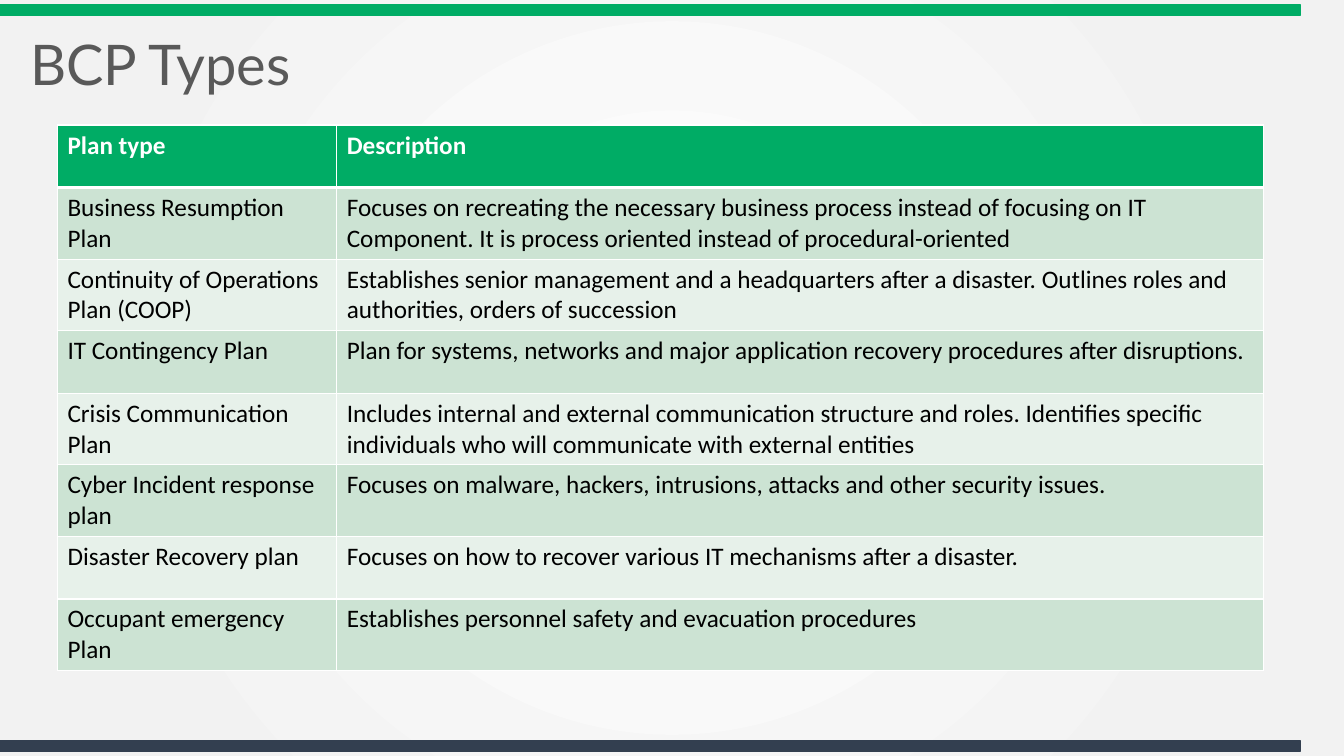
from dataclasses import dataclass

from pptx import Presentation
from pptx.dml.color import RGBColor
from pptx.enum.shapes import MSO_SHAPE
from pptx.enum.text import MSO_ANCHOR, PP_ALIGN
from pptx.oxml import parse_xml
from pptx.oxml.ns import nsdecls
from pptx.util import Inches, Pt


@dataclass(frozen=True)
class Theme:
    green: str = "00AC65"
    navy: str = "333F50"
    title: str = "595959"
    white: str = "FFFFFF"
    black: str = "000000"
    backdrop: str = "F2F2F2"
    bands: tuple = ("CCE3D3", "E7F1EA")
    title_font: str = "Lato"
    table_font: str = "Calibri"
    title_size: int = 40
    table_size: int = 18
    grid_width: int = 1
    header_rule: int = 3


THEME = Theme()

HEADINGS = ("Plan type", "Description")
PLANS = (
    ("Business Resumption Plan",
     "Focuses on recreating the necessary business process instead of focusing on IT "
     "Component. It is process oriented instead of procedural-oriented"),
    ("Continuity of Operations Plan (COOP)",
     "Establishes senior management and a headquarters after a disaster. Outlines roles "
     "and authorities, orders of succession"),
    ("IT Contingency Plan",
     "Plan for systems, networks and major application recovery procedures after disruptions."),
    ("Crisis Communication Plan",
     "Includes internal and external communication structure and roles. Identifies specific "
     "individuals who will communicate with external entities"),
    ("Cyber Incident response plan",
     "Focuses on malware, hackers, intrusions, attacks and other security issues."),
    ("Disaster Recovery plan",
     "Focuses on how to recover various IT mechanisms after a disaster."),
    ("Occupant emergency Plan",
     "Establishes personnel safety and evacuation procedures"),
)


def add_text(paragraph, text, font, size, color, bold=False):
    run = paragraph.add_run()
    run.text = text
    run.font.name = font
    run.font.size = Pt(size)
    run.font.bold = bold
    run.font.color.rgb = RGBColor.from_string(color)


def paint_background(slide):
    stops = ((0, THEME.white), (81, THEME.backdrop), (100, THEME.backdrop))
    stop_xml = "".join(
        f'<a:gs pos="{position * 1000}"><a:srgbClr val="{color}"/></a:gs>'
        for position, color in stops)
    background = parse_xml(
        f'<p:bg {nsdecls("p", "a")}><p:bgPr><a:gradFill rotWithShape="1">'
        f'<a:gsLst>{stop_xml}</a:gsLst><a:path path="circle">'
        '<a:fillToRect l="50000" t="50000" r="50000" b="50000"/></a:path>'
        '</a:gradFill><a:effectLst/></p:bgPr></p:bg>')
    slide.element.cSld.insert(0, background)


def add_bar(slide, box, color):
    bar = slide.shapes.add_shape(MSO_SHAPE.RECTANGLE, *map(Inches, box))
    bar.shadow.inherit = False
    bar.fill.solid()
    bar.fill.fore_color.rgb = RGBColor.from_string(color)
    bar.line.color.rgb = RGBColor.from_string(color)
    bar.line.width = Pt(1)


def place_title(slide, box, text):
    title = slide.shapes.title
    title.left, title.top, title.width, title.height = map(Inches, box)
    title.text_frame.vertical_anchor = MSO_ANCHOR.MIDDLE
    paragraph = title.text_frame.paragraphs[0]
    paragraph.alignment = PP_ALIGN.LEFT
    paragraph.line_spacing = 0.9
    add_text(paragraph, text, THEME.title_font, THEME.title_size, THEME.title)


def set_borders(cell, top, bottom):
    widths = {"lnL": THEME.grid_width, "lnR": THEME.grid_width, "lnT": top, "lnB": bottom}
    properties = cell._tc.get_or_add_tcPr()
    for index, (side, width) in enumerate(widths.items()):
        properties.insert(index, parse_xml(
            f'<a:{side} {nsdecls("a")} w="{Pt(width)}"><a:solidFill>'
            f'<a:srgbClr val="{THEME.white}"/></a:solidFill></a:{side}>'))


def add_plan_table(slide, box, first_column, row_height):
    left, top, width, _ = box
    rows = (HEADINGS, *PLANS)
    frame = slide.shapes.add_table(len(rows), len(HEADINGS), *map(Inches, box))
    frame.left, frame.top = Inches(left), Inches(top)
    table = frame.table
    table.columns[0].width = Inches(first_column)
    table.columns[1].width = Inches(width - first_column)
    for row_index, texts in enumerate(rows):
        table.rows[row_index].height = Inches(row_height)
        header = row_index == 0
        fill = THEME.green if header else THEME.bands[(row_index - 1) % 2]
        for column_index, text in enumerate(texts):
            cell = table.cell(row_index, column_index)
            cell.fill.solid()
            cell.fill.fore_color.rgb = RGBColor.from_string(fill)
            set_borders(cell,
                        top=THEME.header_rule if row_index == 1 else THEME.grid_width,
                        bottom=THEME.header_rule if header else THEME.grid_width)
            add_text(cell.text_frame.paragraphs[0], text, THEME.table_font,
                     THEME.table_size, THEME.white if header else THEME.black, header)


def build_plan_slide(presentation):
    slide = presentation.slides.add_slide(presentation.slide_layouts[5])
    paint_background(slide)
    # Edge bars
    for bar_top, color in ((0.05, THEME.green), (7.35, THEME.navy)):
        add_bar(slide, (0, bar_top, 12.9, 0.1), color)
    # Title
    place_title(slide, (0.2, 0.27, 11.7, 0.8), "BCP Types")
    # Plan types and descriptions
    row_height = 0.62
    add_plan_table(slide, (0.57, 1.24, 11.96, row_height * (len(PLANS) + 1)),
                   first_column=2.77, row_height=row_height)


def main():
    presentation = Presentation()
    presentation.slide_width = Inches(13.33)
    presentation.slide_height = Inches(7.5)
    build_plan_slide(presentation)
    presentation.save("out.pptx")


if __name__ == "__main__":
    main()
